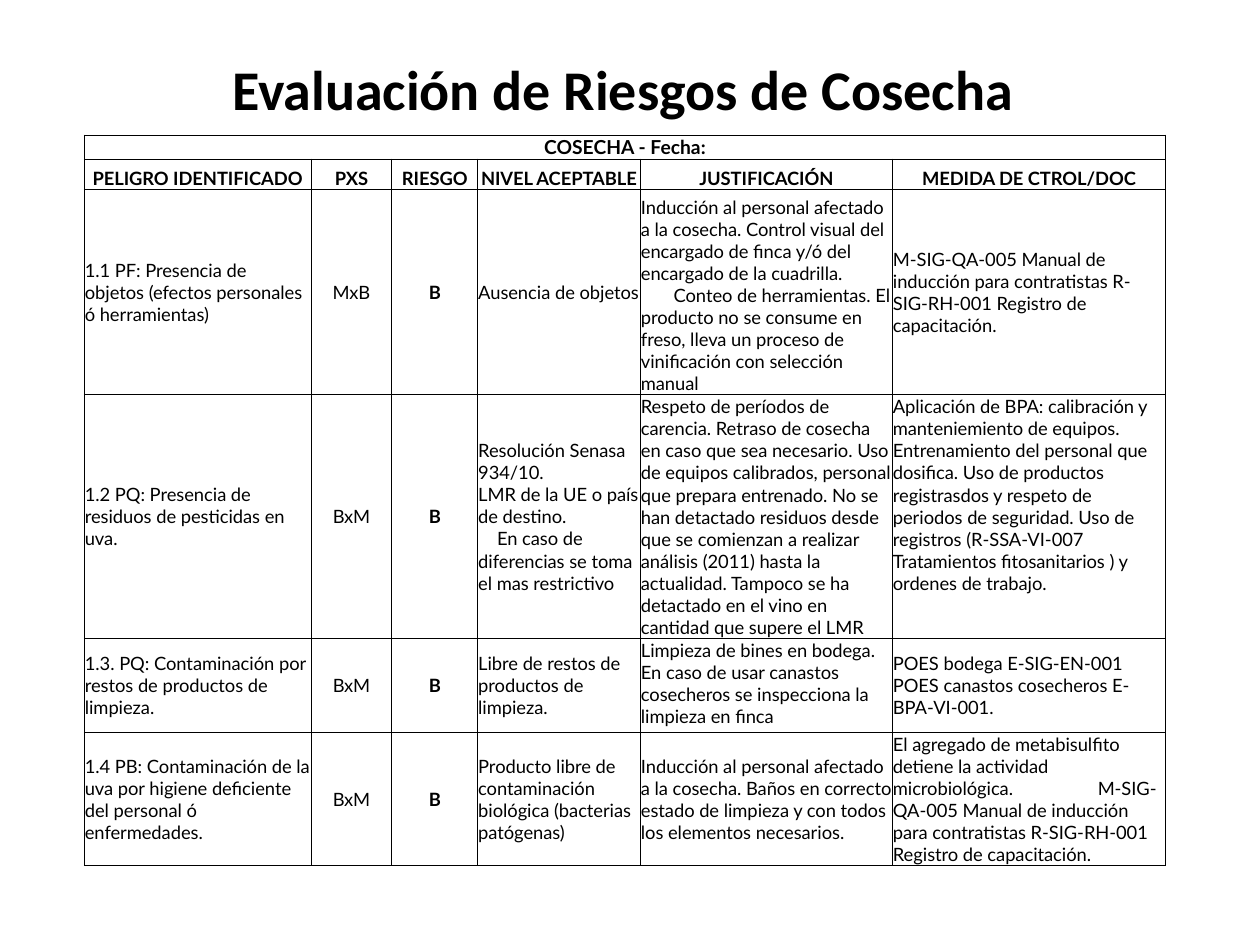
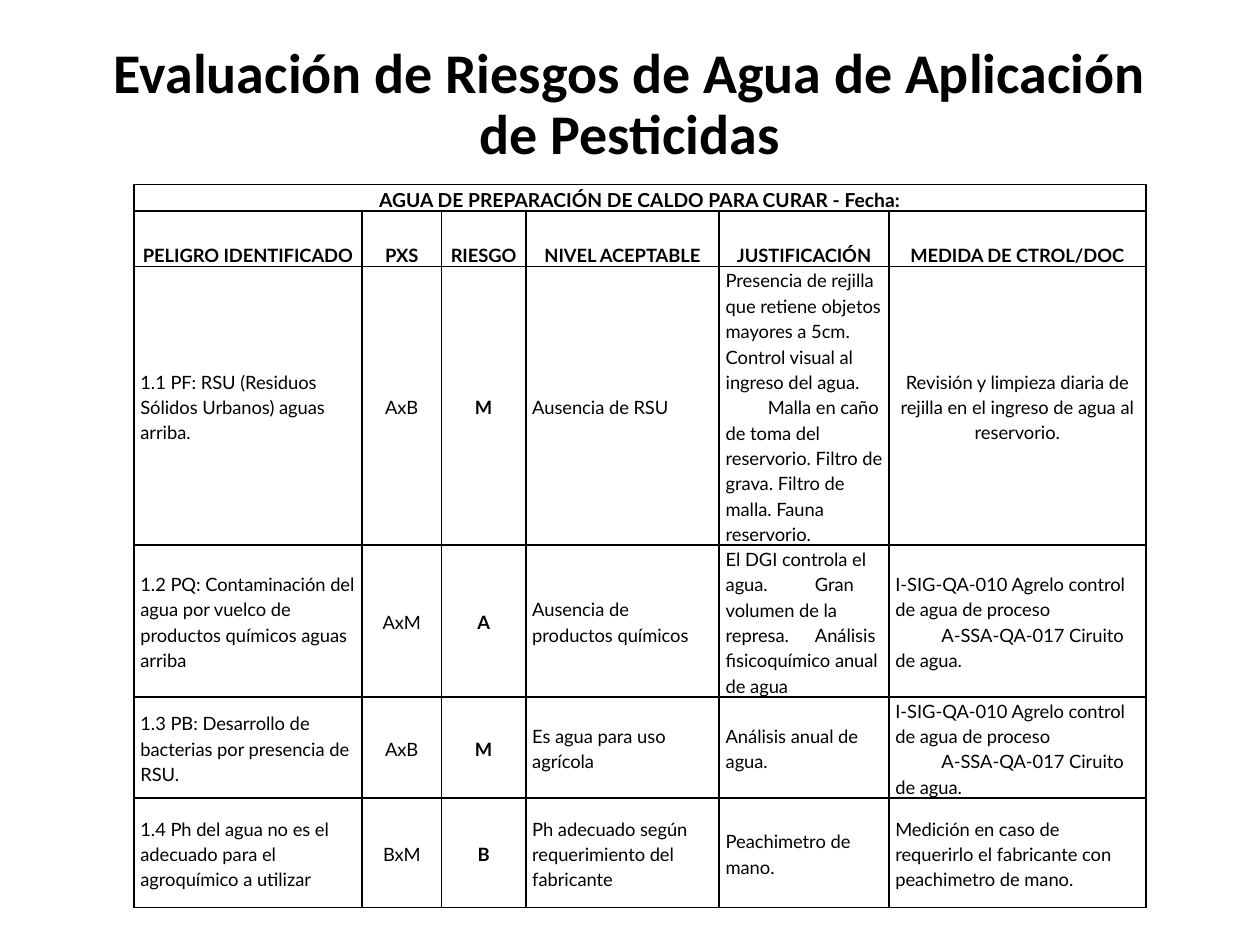
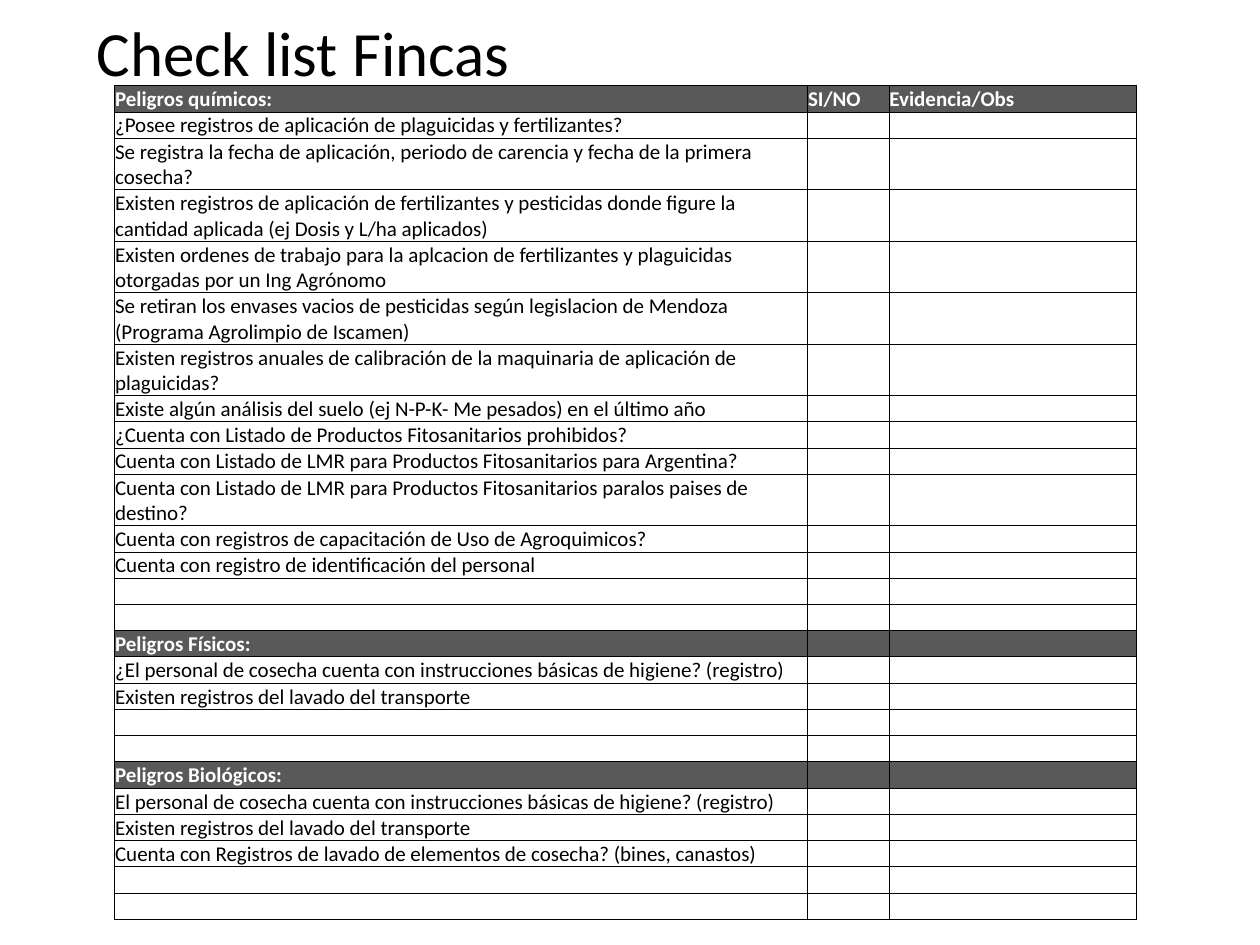
from lxml import etree
from pptx import Presentation
from pptx.dml.color import RGBColor
from pptx.enum import text as t
from pptx.oxml import ns
from pptx.util import Cm, Pt

COLORS = {"ink": "000000", "paper": "FFFFFF", "band": "595959"}
TITLE_FONT, RISK_FONT = "Calibri", "Lato"
LEFT, CENTER, JUSTIFY = t.PP_ALIGN.LEFT, t.PP_ALIGN.CENTER, t.PP_ALIGN.JUSTIFY
TOP, MIDDLE, BOTTOM = t.MSO_ANCHOR.TOP, t.MSO_ANCHOR.MIDDLE, t.MSO_ANCHOR.BOTTOM
FINE_RULES = {"border": 0.5, "side_margin": 0.01, "top_margin": 0.02}
RISK_HEADER = ["PELIGRO IDENTIFICADO", "PXS", "RIESGO", "NIVEL ACEPTABLE",
               "JUSTIFICACIÓN", "MEDIDA DE CTROL/DOC"]

HARVEST_RISKS = [
    ["1.1 PF: Presencia de objetos (efectos personales ó herramientas)", "MxB", "B",
     "Ausencia de objetos",
     "Inducción al personal afectado a la cosecha. Control visual del encargado de finca "
     "y/ó del encargado de la cuadrilla.\n\tConteo de herramientas. El producto no se "
     "consume en freso, lleva un proceso de vinificación con selección manual",
     "M-SIG-QA-005 Manual de inducción para contratistas R-SIG-RH-001 Registro de "
     "capacitación."],
    ["1.2 PQ: Presencia de residuos de pesticidas en uva.", "BxM", "B",
     "Resolución Senasa 934/10.\nLMR de la UE o país de destino.\n\tEn caso de "
     "diferencias se toma el mas restrictivo",
     "Respeto de períodos de carencia. Retraso de cosecha en caso que sea necesario. Uso de "
     "equipos calibrados, personal que prepara entrenado. No se han detactado residuos desde "
     "que se comienzan a realizar análisis (2011) hasta la actualidad. Tampoco se ha "
     "detactado en el vino en cantidad que supere el LMR",
     "Aplicación de BPA: calibración y manteniemiento de equipos. Entrenamiento del personal "
     "que dosifica. Uso de productos registrasdos y respeto de periodos de seguridad. Uso de "
     "registros (R-SSA-VI-007 Tratamientos fitosanitarios ) y ordenes de trabajo."],
    ["1.3. PQ: Contaminación por restos de productos de limpieza.", "BxM", "B",
     "Libre de restos de productos de limpieza.",
     "Limpieza de bines en bodega. En caso de usar canastos cosecheros se inspecciona la "
     "limpieza en finca",
     "POES bodega E-SIG-EN-001\nPOES canastos cosecheros E-BPA-VI-001."],
    ["1.4 PB: Contaminación de la uva por higiene deficiente del personal ó enfermedades.",
     "BxM", "B",
     "Producto libre de contaminación biológica (bacterias patógenas)",
     "Inducción al personal afectado a la cosecha. Baños en correcto estado de limpieza y "
     "con todos los elementos necesarios.",
     "El agregado de metabisulfito detiene la actividad microbiológica.\tM-SIG-QA-005 Manual "
     "de inducción para contratistas R-SIG-RH-001 Registro de capacitación."],
]

WATER_CONTROL = ("I-SIG-QA-010 Agrelo control de agua de proceso\n"
                 "\tA-SSA-QA-017 Ciruito de agua.")
WATER_RISKS = [
    ["1.1 PF: RSU (Residuos Sólidos Urbanos) aguas arriba.", "AxB", "M", "Ausencia de RSU",
     "Presencia de rejilla que retiene objetos mayores a 5cm. Control visual al ingreso del "
     "agua.\n\tMalla en caño de toma del reservorio. Filtro de grava. Filtro de malla. "
     "Fauna reservorio.",
     "Revisión y limpieza diaria de rejilla en el ingreso de agua al reservorio."],
    ["1.2 PQ: Contaminación del agua por vuelco de productos químicos aguas arriba",
     "AxM", "A", "Ausencia de productos químicos",
     "El DGI controla el agua.\tGran volumen de la represa.\tAnálisis fisicoquímico anual "
     "de agua",
     WATER_CONTROL],
    ["1.3 PB: Desarrollo de bacterias por presencia de RSU.", "AxB", "M",
     "Es agua para uso agrícola", "Análisis anual de agua.", WATER_CONTROL],
    ["1.4 Ph del agua no es el adecuado para el agroquímico a utilizar", "BxM", "B",
     "Ph adecuado según requerimiento del fabricante", "Peachimetro de mano.",
     "Medición en caso de requerirlo el fabricante con peachimetro de mano."],
]

# Each section: header cells and questions
CHECKLIST = [
    (["Peligros químicos:", "SI/NO", "Evidencia/Obs"], [
        "¿Posee registros de aplicación de plaguicidas y fertilizantes?",
        "Se registra la fecha de aplicación, periodo de carencia y fecha de la primera cosecha?",
        "Existen registros de aplicación de fertilizantes y pesticidas donde figure la "
        "cantidad aplicada (ej Dosis y L/ha aplicados)",
        "Existen ordenes de trabajo para la aplcacion de fertilizantes y plaguicidas "
        "otorgadas por un Ing Agrónomo",
        "Se retiran los envases vacios de pesticidas según legislacion de Mendoza "
        "(Programa Agrolimpio de Iscamen)",
        "Existen registros anuales de calibración de la maquinaria de aplicación de "
        "plaguicidas?",
        "Existe algún análisis del suelo (ej N-P-K- Me pesados) en el último año",
        "¿Cuenta con Listado de Productos Fitosanitarios prohibidos?",
        "Cuenta con Listado de LMR para Productos Fitosanitarios para Argentina?",
        "Cuenta con Listado de LMR para Productos Fitosanitarios paralos paises de destino?",
        "Cuenta con registros de capacitación de Uso de Agroquimicos?",
        "Cuenta con registro de identificación del personal"]),
    (["Peligros Físicos:", "", ""], [
        "¿El personal de cosecha cuenta con instrucciones básicas de higiene? (registro)",
        "Existen registros del lavado del transporte"]),
    (["Peligros Biológicos:", "", ""], [
        "El personal de cosecha cuenta con instrucciones básicas de higiene? (registro)",
        "Existen registros del lavado del transporte",
        "Cuenta con Registros de lavado de elementos de cosecha? (bines, canastos)"]),
]
BLANK_ROWS = 2  # left to fill in after each section
ONE_LINE = 80  # longest question that fits on one line


def write(frame, content, size, font=TITLE_FONT, color="ink", bold=False,
          align=LEFT, spacing=1.0, tab=None):
    """Write one paragraph per line; tab is the stop in cm for tab characters."""
    for i, line in enumerate(content.split("\n")):
        para = frame.paragraphs[0] if i == 0 else frame.add_paragraph()
        para.alignment, para.line_spacing = align, spacing
        if tab:
            stops = etree.SubElement(para._p.get_or_add_pPr(), ns.qn("a:tabLst"))
            etree.SubElement(stops, ns.qn("a:tab"), pos=str(Cm(tab)), algn="l")
        if not line:
            etree.SubElement(para._p, ns.qn("a:endParaRPr"), sz=str(int(size * 100)))
            continue
        run = para.add_run()
        run.text = line
        run.font.size, run.font.name, run.font.bold = Pt(size), font, bold
        run.font.color.rgb = RGBColor.from_string(COLORS[color])


def add_title(slide, content, left, top, width, height, **style):
    frame = slide.shapes.add_textbox(Cm(left), Cm(top), Cm(width), Cm(height)).text_frame
    frame.word_wrap = True
    frame.vertical_anchor = MIDDLE
    write(frame, content, spacing=0.9, **style)


def set_borders(cell, points):
    props = cell._tc.get_or_add_tcPr()
    for side in ("lnL", "lnR", "lnT", "lnB"):
        line = etree.SubElement(props, ns.qn(f"a:{side}"), w=str(Pt(points)))
        fill = etree.SubElement(line, ns.qn("a:solidFill"))
        etree.SubElement(fill, ns.qn("a:srgbClr"), val=COLORS["ink"])


def paint(cell, color):
    cell.fill.solid()
    cell.fill.fore_color.rgb = RGBColor.from_string(COLORS[color])


def add_grid(slide, left, top, widths, heights, border, side_margin, top_margin):
    """Add a plain ruled table on white."""
    grid = slide.shapes.add_table(len(heights), len(widths), Cm(left), Cm(top),
                                  Cm(sum(widths)), Cm(sum(heights))).table
    grid.first_row = grid.horz_banding = False
    for column, width in zip(grid.columns, widths):
        column.width = Cm(width)
    for row, height in zip(grid.rows, heights):
        row.height = Cm(height)
    for cell in grid.iter_cells():
        set_borders(cell, border)
        paint(cell, "paper")
        cell.margin_left = cell.margin_right = Cm(side_margin)
        cell.margin_top, cell.margin_bottom = Cm(top_margin), 0
        cell.vertical_anchor = MIDDLE
    return grid


def add_risk_table(slide, heading, risks, anchors, tabs, centered=(), spacing=1.0, **layout):
    """Anchors, tabs and centered are keyed by (risk, column)."""
    grid = add_grid(slide, **layout)
    style = {"font": RISK_FONT, "spacing": spacing}
    # Heading and column names
    grid.cell(0, 0).merge(grid.cell(0, len(RISK_HEADER) - 1))
    grid.cell(0, 0).vertical_anchor = BOTTOM
    write(grid.cell(0, 0).text_frame, heading, 11, bold=True, align=CENTER, **style)
    for c, name in enumerate(RISK_HEADER):
        grid.cell(1, c).vertical_anchor = BOTTOM
        write(grid.cell(1, c).text_frame, name, 10.5, bold=True, align=CENTER, **style)
    # Risks
    for r, risk in enumerate(risks):
        for c, content in enumerate(risk):
            cell = grid.cell(r + 2, c)
            cell.vertical_anchor = anchors.get((r, c), MIDDLE)
            align = CENTER if c in (1, 2) or (r, c) in centered else LEFT
            write(cell.text_frame, content, 10.5, bold=c == 2, align=align,
                  tab=tabs.get((r, c)), **style)


def add_checklist(slide, sections, left, top, widths):
    rows = []
    for header, questions in sections:
        rows.append((header, True))
        rows += [([question, "", ""], False) for question in questions + [""] * BLANK_ROWS]
    heights = [1.0 if len(cells[0]) > ONE_LINE else 0.5 for cells, _ in rows]
    grid = add_grid(slide, left, top, widths, heights, **FINE_RULES)
    for r, (cells, is_header) in enumerate(rows):
        for c, content in enumerate(cells):
            cell = grid.cell(r, c)
            if is_header:
                paint(cell, "band")
            write(cell.text_frame, content, 12, bold=is_header,
                  color="paper" if is_header else "ink",
                  align=JUSTIFY if is_header else LEFT)


def main():
    deck = Presentation()
    deck.slide_width, deck.slide_height = Cm(25.4), Cm(19.05)
    harvest, water, farms = [deck.slides.add_slide(deck.slide_layouts[6]) for _ in range(3)]
    risk_title = {"size": 32, "bold": True, "align": CENTER}

    # Harvest risks
    add_title(harvest, "Evaluación de Riesgos de Cosecha", 1.61, 1.02, 21.9, 1.7, **risk_title)
    add_risk_table(harvest, "COSECHA - Fecha:", HARVEST_RISKS,
                   anchors={(0, 4): BOTTOM, (1, 4): TOP, (1, 5): TOP, (2, 4): TOP},
                   tabs={(0, 4): 0.66, (1, 3): 0.38, (3, 5): 4.13},
                   left=1.7, top=2.72, widths=[4.57, 1.63, 1.73, 3.28, 5.08, 5.51],
                   heights=[0.36, 0.61, 4.14, 4.55, 1.9, 2.24], **FINE_RULES)

    # Spray water risks
    add_title(water, "Evaluación de Riesgos de Agua de Aplicación de Pesticidas",
              1.75, 0.53, 21.9, 3.2, **risk_title)
    add_risk_table(water, "AGUA DE PREPARACIÓN DE CALDO PARA CURAR - Fecha:", WATER_RISKS,
                   anchors={(0, 4): BOTTOM},
                   tabs={(0, 4): 0.85, (1, 4): 1.8, (1, 5): 0.93, (2, 5): 0.93},
                   centered=[(0, 5)], spacing=1.15,
                   left=2.7, top=3.72, widths=[4.6, 1.6, 1.7, 3.9, 3.42, 5.18],
                   heights=[0.43, 1.12, 5.56, 2.59, 1.86, 2.2],
                   border=1, side_margin=0.13, top_margin=0)

    # Farm checklist
    add_title(farms, "Check list Fincas", 1.7, 0.53, 21.74, 1.2, size=36)
    add_checklist(farms, CHECKLIST, left=2.31, top=1.73, widths=[13.97, 1.64, 4.99])

    deck.save("out.pptx")


if __name__ == "__main__":
    main()
